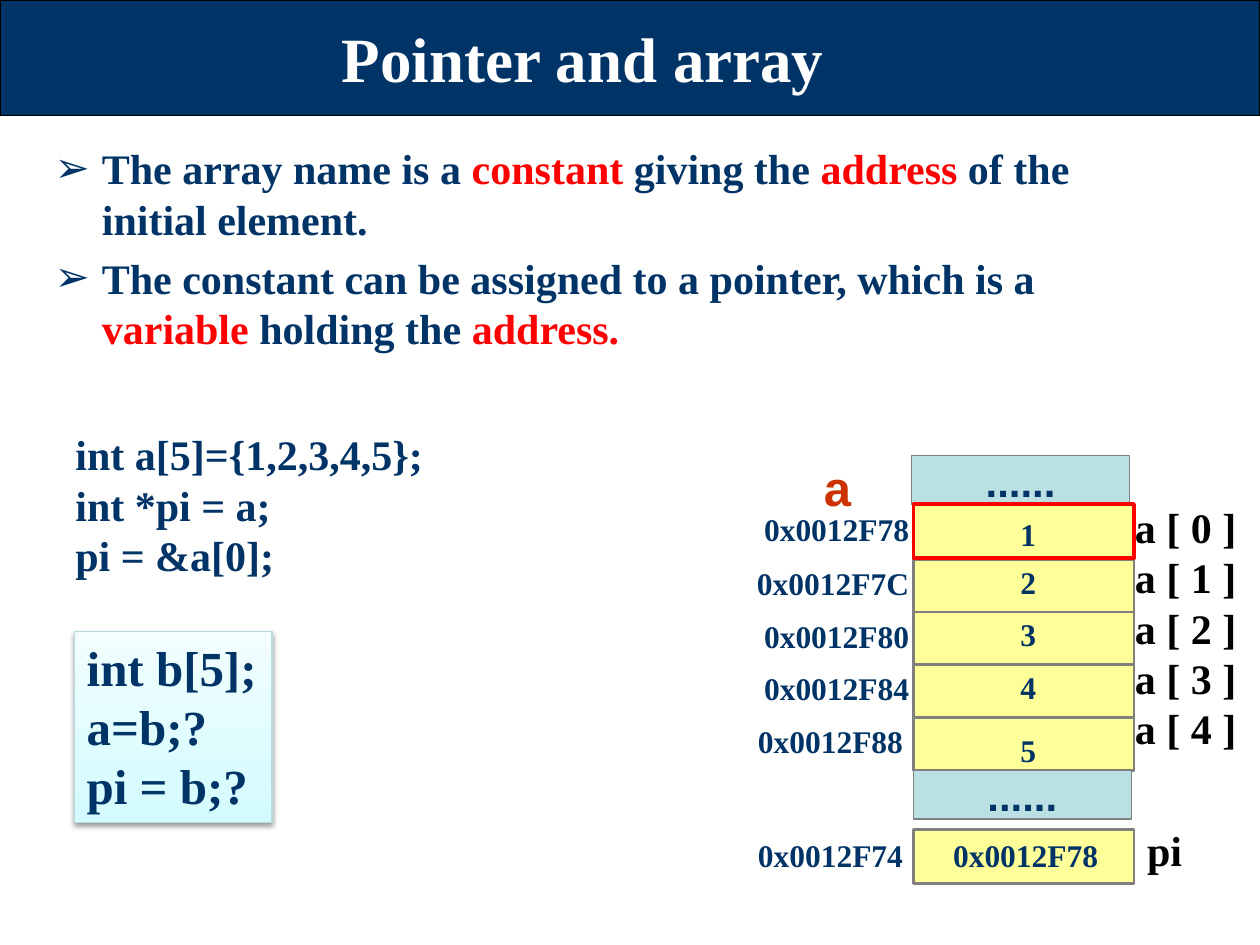
"""Build a slide that explains how a pointer relates to an array in memory."""
from lxml import etree
from pptx import Presentation
from pptx.dml.color import RGBColor
from pptx.enum.shapes import MSO_CONNECTOR, MSO_SHAPE
from pptx.enum.text import MSO_ANCHOR, MSO_AUTO_SIZE, PP_ALIGN
from pptx.oxml import parse_xml
from pptx.oxml.ns import nsdecls, qn
from pptx.util import Pt

LEFT, CENTER = PP_ALIGN.LEFT, PP_ALIGN.CENTER
TOP, MIDDLE = MSO_ANCHOR.TOP, MSO_ANCHOR.MIDDLE
RECTANGLE, STRAIGHT = MSO_SHAPE.RECTANGLE, MSO_CONNECTOR.STRAIGHT
NO_AUTOFIT = MSO_AUTO_SIZE.NONE

SERIF, SANS = "Times New Roman", "Arial"
NAVY, RED, WHITE, BLACK = "003366", "FF0000", "FFFFFF", "000000"
YELLOW, TEAL, GRAY, RUST = "FFFF99", "BBE0E3", "808080", "CC3300"

TITLE = "Pointer and array"
BULLETS = [
    [("The array name is a ", NAVY), ("constant", RED), (" giving the ", NAVY),
     ("address", RED), (" of the initial element.", NAVY)],
    [("The constant can be assigned to a pointer, which is a ", NAVY),
     ("variable ", RED), ("holding the ", NAVY), ("address.", RED)],
]
CODE = ["int a[5]={1,2,3,4,5};", "int *pi = a;", "pi = &a[0];"]
QUESTION = ["int b[5];", "a=b;?", "pi = b;?"]
ELEMENTS = [f"a [ {index} ]" for index in range(5)]
ADDRESSES = [("0x0012F78", 429.5, 288, 99), ("0x0012F7C", 425.5, 319, 103),
             ("0x0012F80", 429.5, 349, 99), ("0x0012F84", 429.5, 379, 99),
             ("0x0012F88", 426, 409, 99), ("0x0012F74", 426, 474, 99)]
VALUES = [("1", 291), ("2", 318), ("3", 348), ("4", 378), ("5", 414)]

CELL_LEFT, CELL_TOP, CELL_WIDTH, CELL_HEIGHT = 522, 288, 126, 31
FIRST_DIVIDER, ROW_PITCH = 319.75, 30.05
POINTER_TOP = 474

presentation = Presentation()
presentation.slide_width, presentation.slide_height = Pt(720), Pt(540)
slide = presentation.slides.add_slide(presentation.slide_layouts[1])


def color(value):
    return RGBColor.from_string(value)


def style(font, size, font_color, name=SERIF):
    font.name, font.size, font.bold = name, Pt(size), True
    font.color.rgb = color(font_color)


def place(shape, left, top, width, height):
    shape.left, shape.top, shape.width, shape.height = Pt(left), Pt(top), Pt(width), Pt(height)


def write(shape, lines, size, font_color=NAVY, name=SERIF, align=LEFT, anchor=TOP):
    frame = shape.text_frame
    frame.text = "\n".join(lines)
    frame.word_wrap, frame.vertical_anchor = False, anchor
    for paragraph in frame.paragraphs:
        paragraph.alignment = align
        paragraph.line_spacing = Pt(1.2 * size)
        for run in paragraph.runs:
            style(run.font, size, font_color, name)


def add_text(lines, left, top, width, height, size, **options):
    box = slide.shapes.add_textbox(Pt(left), Pt(top), Pt(width), Pt(height))
    write(box, lines, size, **options)


def add_box(left, top, width, height, fill, line, weight):
    box = slide.shapes.add_shape(RECTANGLE, Pt(left), Pt(top), Pt(width), Pt(height))
    box.shadow.inherit = False
    if fill:
        box.fill.solid()
        box.fill.fore_color.rgb = color(fill)
    else:
        box.fill.background()
    box.line.color.rgb = color(line)
    box.line.width = Pt(weight)
    return box


def add_divider(y):
    divider = slide.shapes.add_connector(
        STRAIGHT, Pt(CELL_LEFT), Pt(y), Pt(CELL_LEFT + CELL_WIDTH), Pt(y))
    divider.line.color.rgb = color(GRAY)
    divider.line.width = Pt(1.5)
    etree.SubElement(divider.element.spPr, qn("a:effectLst"))


def add_heading():
    title = slide.shapes.title
    place(title, 18, 6, 630, 54)
    title.text_frame.text = TITLE
    title.text_frame.vertical_anchor = MIDDLE
    paragraph = title.text_frame.paragraphs[0]
    paragraph.alignment = CENTER
    style(paragraph.runs[0].font, 36, WHITE)
    band = add_box(0, 0, 720, 66, NAVY, BLACK, 0.75)
    title.element.addprevious(band.element)


def add_bullets():
    body = slide.placeholders[1]
    place(body, 24, 78, 660, 444)
    frame = body.text_frame
    frame.auto_size = NO_AUTOFIT
    for index, parts in enumerate(BULLETS):
        paragraph = frame.add_paragraph() if index else frame.paragraphs[0]
        properties = paragraph._p.get_or_add_pPr()
        properties.set("marL", str(Pt(27)))
        properties.set("indent", str(-Pt(27)))
        etree.SubElement(properties, qn("a:buFont"), typeface=SANS)
        etree.SubElement(properties, qn("a:buChar"), char="➢")
        paragraph.line_spacing = Pt(28.8)
        paragraph.space_before = Pt(4.8 if index else 0)
        for text, run_color in parts:
            run = paragraph.add_run()
            run.text = text
            style(run.font, 24, run_color)


def add_memory():
    add_text(ELEMENTS, 641, 282, 73, 153, 24, font_color=BLACK, align=CENTER, anchor=MIDDLE)
    add_text(["a"], 456, 264, 45, 28, 28, font_color=RUST, name=SANS, align=CENTER, anchor=MIDDLE)
    add_box(CELL_LEFT, CELL_TOP, CELL_WIDTH, 152.5, YELLOW, GRAY, 1.5)
    for row in range(len(VALUES)):
        add_divider(FIRST_DIVIDER + row * ROW_PITCH)
    for left, top in [(522, 440), (521, 260.5)]:
        rest = add_box(left, top, 124.5, 28, TEAL, GRAY, 0.75)
        write(rest, ["......"], 24, name=SANS, align=CENTER, anchor=MIDDLE)
    for value, top in VALUES:
        add_text([value], 576, top, 24, 29, 18)
    for address, left, top, width in ADDRESSES:
        add_text([address], left, top, width, 29, 18)
    add_box(CELL_LEFT, POINTER_TOP, CELL_WIDTH, CELL_HEIGHT, YELLOW, GRAY, 1.5)
    add_text([ADDRESSES[0][0]], 537.5, POINTER_TOP, 99, 29, 18)
    add_text(["pi"], 648, 467, 35, 37, 24, font_color=BLACK, align=CENTER, anchor=MIDDLE)
    add_box(CELL_LEFT, CELL_TOP, CELL_WIDTH, CELL_HEIGHT, None, RED, 2)


def add_question():
    box = add_box(42.5, 361, 113, 109, TEAL, "B6DCDF", 0.75)
    box.fill.gradient()
    box.fill.gradient_angle = 90
    for stop, stop_color in zip(box.fill.gradient_stops, ("D3FBFF", "F2FEFF")):
        stop.color.rgb = color(stop_color)
    effects = box.element.spPr.find(qn("a:effectLst"))
    effects.append(parse_xml(
        f'<a:outerShdw {nsdecls("a")} blurRad="{Pt(3.1)}" dist="{Pt(1.6)}" dir="5400000" '
        f'rotWithShape="0"><a:srgbClr val="{BLACK}"><a:alpha val="38000"/></a:srgbClr>'
        '</a:outerShdw>'))
    write(box, QUESTION, 28)


add_heading()
add_bullets()
add_text(CODE, 36, 241.5, 215, 94, 24)
add_memory()
add_question()
presentation.save("out.pptx")
